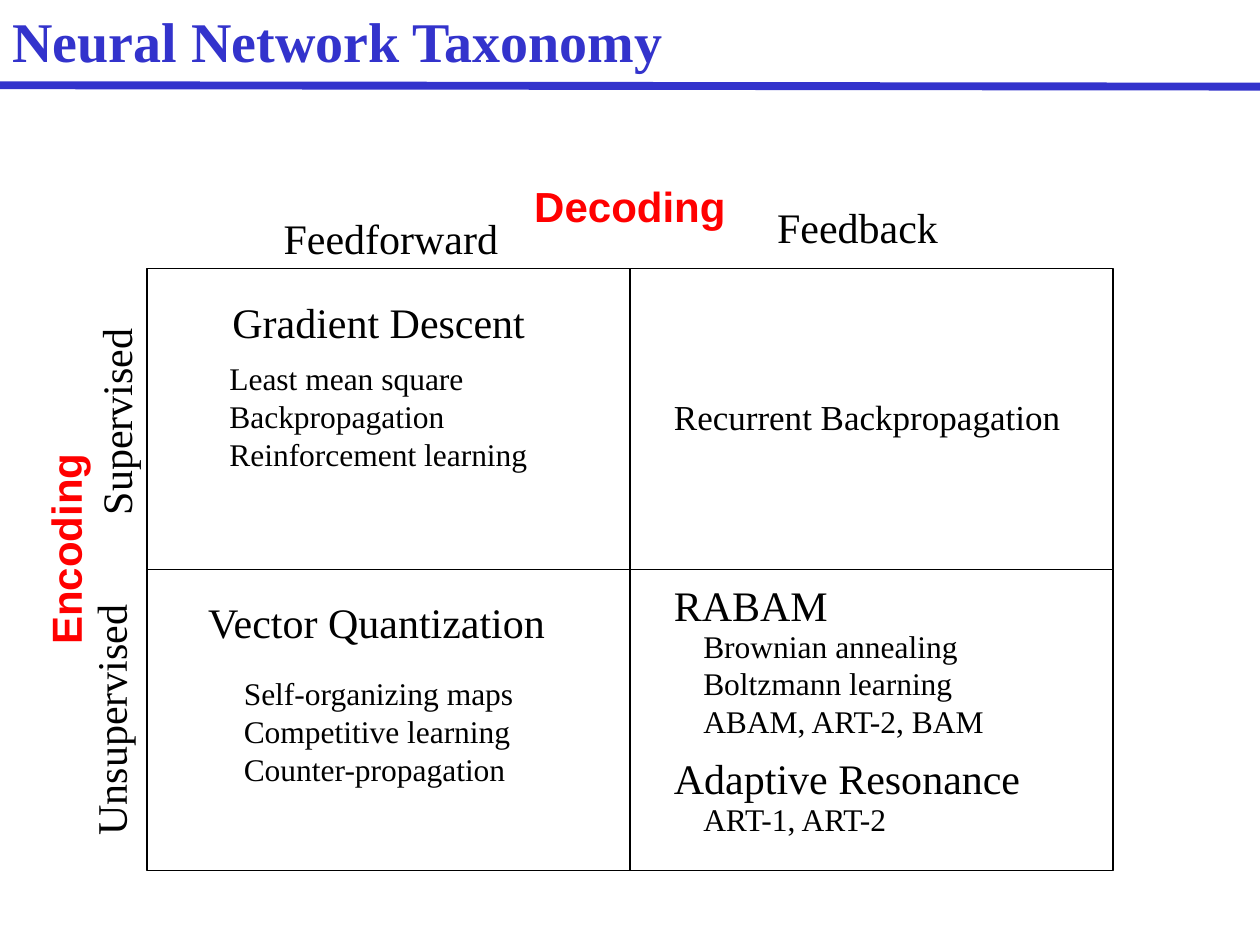
from lxml import etree
from pptx import Presentation
from pptx.dml.color import RGBColor
from pptx.enum.shapes import MSO_CONNECTOR, MSO_SHAPE
from pptx.enum.text import MSO_AUTO_SIZE
from pptx.oxml.ns import qn
from pptx.util import Pt

STRAIGHT = MSO_CONNECTOR.STRAIGHT
RECTANGLE = MSO_SHAPE.RECTANGLE
FIT_SHAPE = MSO_AUTO_SIZE.SHAPE_TO_FIT_TEXT

BLUE = RGBColor(0x33, 0x33, 0xCC)
RED = RGBColor(0xFF, 0x00, 0x00)
BLACK = RGBColor(0x00, 0x00, 0x00)

SERIF = "Times New Roman"
SANS = "Arial"

GRID_LEFT, GRID_TOP = 84, 153.5
CELL_WIDTH, CELL_HEIGHT = 276, 172

# text, left, top, width
HEADINGS = [
    ("Feedforward", 155, 117.8, 139),
    ("Feedback", 437, 111.5, 108),
    ("Gradient Descent", 125.7, 165.8, 184),
    ("Vector Quantization", 111.8, 337.3, 212),
    ("RABAM", 378, 327.5, 105),
    ("Adaptive Resonance", 378, 426.3, 215),
]
METHODS = [
    ("Least mean square\nBackpropagation\nReinforcement learning", 124, 201.7, 187),
    ("Self-organizing maps\nCompetitive learning\nCounter-propagation", 132.2, 381.7, 171),
    ("Brownian annealing\nBoltzmann learning\nABAM, ART-2, BAM", 394.8, 354.5, 185),
    ("ART-1, ART-2", 394.8, 453.5, 127),
]
ROW_LABELS = [
    ("Supervised", 4.5, 222, 123),
    ("Unsupervised", -11.5, 392, 149),
]


def add_text(slide, text, left, top, width, size=24, font=SERIF, color=BLACK,
             bold=False, rotation=0):
    """Add an unwrapped text box with one paragraph per line of text."""
    lines = text.split("\n")
    height = 1.2 * size * len(lines) + 7.2
    box = slide.shapes.add_textbox(Pt(left), Pt(top), Pt(width), Pt(height))
    box.rotation = rotation
    frame = box.text_frame
    frame.word_wrap = False
    frame.auto_size = FIT_SHAPE
    frame.text = text
    for paragraph in frame.paragraphs:
        paragraph.font.size = Pt(size)
        paragraph.font.name = font
        paragraph.font.bold = bold
        paragraph.font.color.rgb = color


def add_title_rule(slide):
    rule = slide.shapes.add_connector(STRAIGHT, Pt(0), Pt(48.7), Pt(720), Pt(49.5))
    rule.line.color.rgb = BLUE
    rule.line.width = Pt(4.5)
    etree.SubElement(rule._element.spPr, qn("a:effectLst"))


def add_cell(slide, row, column):
    cell = slide.shapes.add_shape(
        RECTANGLE,
        Pt(GRID_LEFT + column * CELL_WIDTH), Pt(GRID_TOP + row * CELL_HEIGHT),
        Pt(CELL_WIDTH), Pt(CELL_HEIGHT))
    cell.shadow.inherit = False
    cell.fill.background()
    cell.line.color.rgb = BLACK
    cell.line.width = Pt(1)


def main():
    presentation = Presentation()
    presentation.slide_width, presentation.slide_height = Pt(720), Pt(540)
    slide = presentation.slides.add_slide(presentation.slide_layouts[6])

    add_title_rule(slide)
    add_text(slide, "Neural Network Taxonomy", 0, 0, 391,
             size=32, color=BLUE, bold=True)
    for row in range(2):
        for column in range(2):
            add_cell(slide, row, column)

    for heading in HEADINGS:
        add_text(slide, *heading)
    for methods in METHODS:
        add_text(slide, *methods, size=18)
    add_text(slide, "Recurrent Backpropagation", 378, 222.5, 237, size=20)
    for label in ROW_LABELS:
        add_text(slide, *label, rotation=270)
    add_text(slide, "Decoding", 298.2, 99.5, 125, font=SANS, color=RED, bold=True)
    add_text(slide, "Encoding", -25.3, 295, 125, font=SANS, color=RED, bold=True,
             rotation=270)

    presentation.save("out.pptx")


if __name__ == "__main__":
    main()
